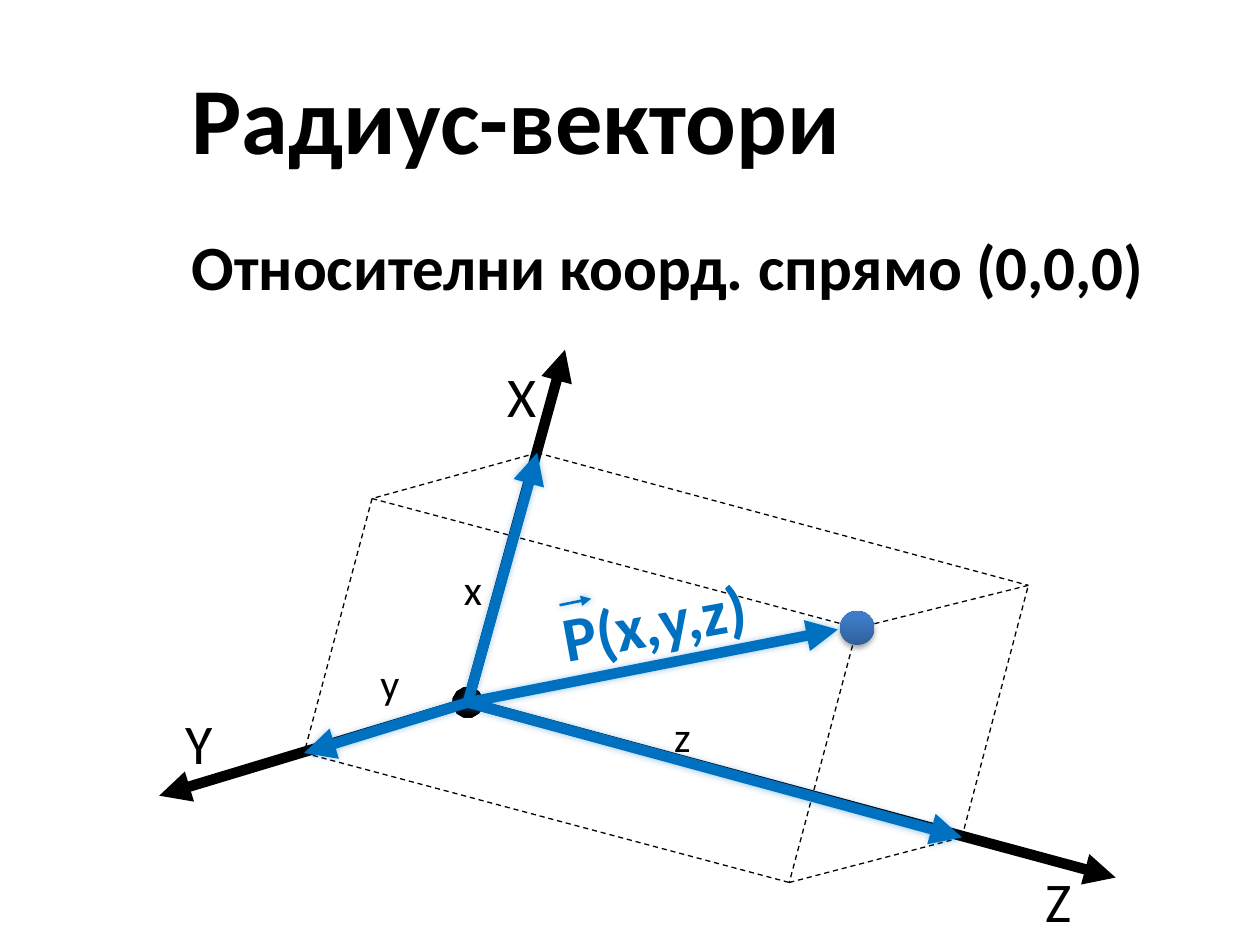
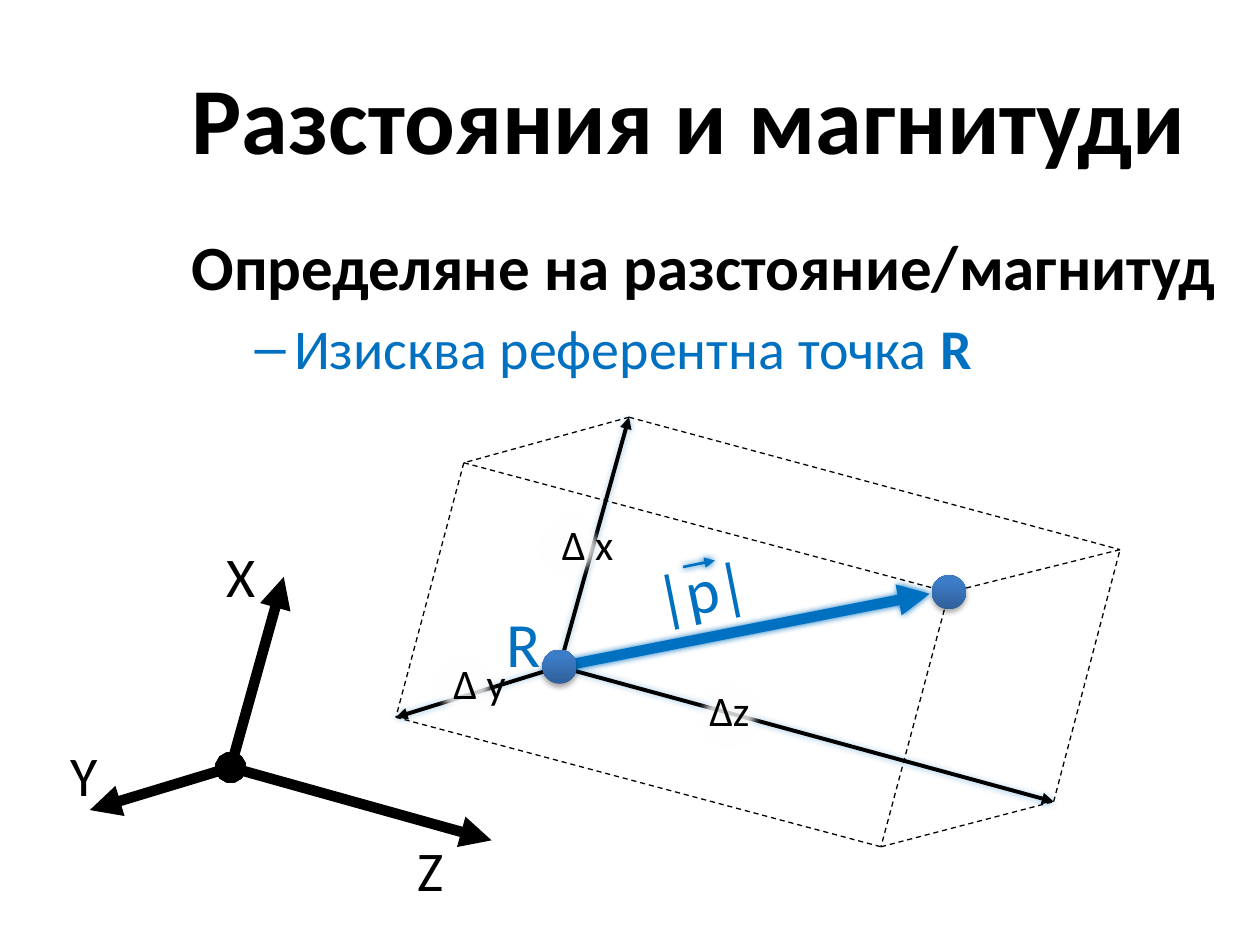
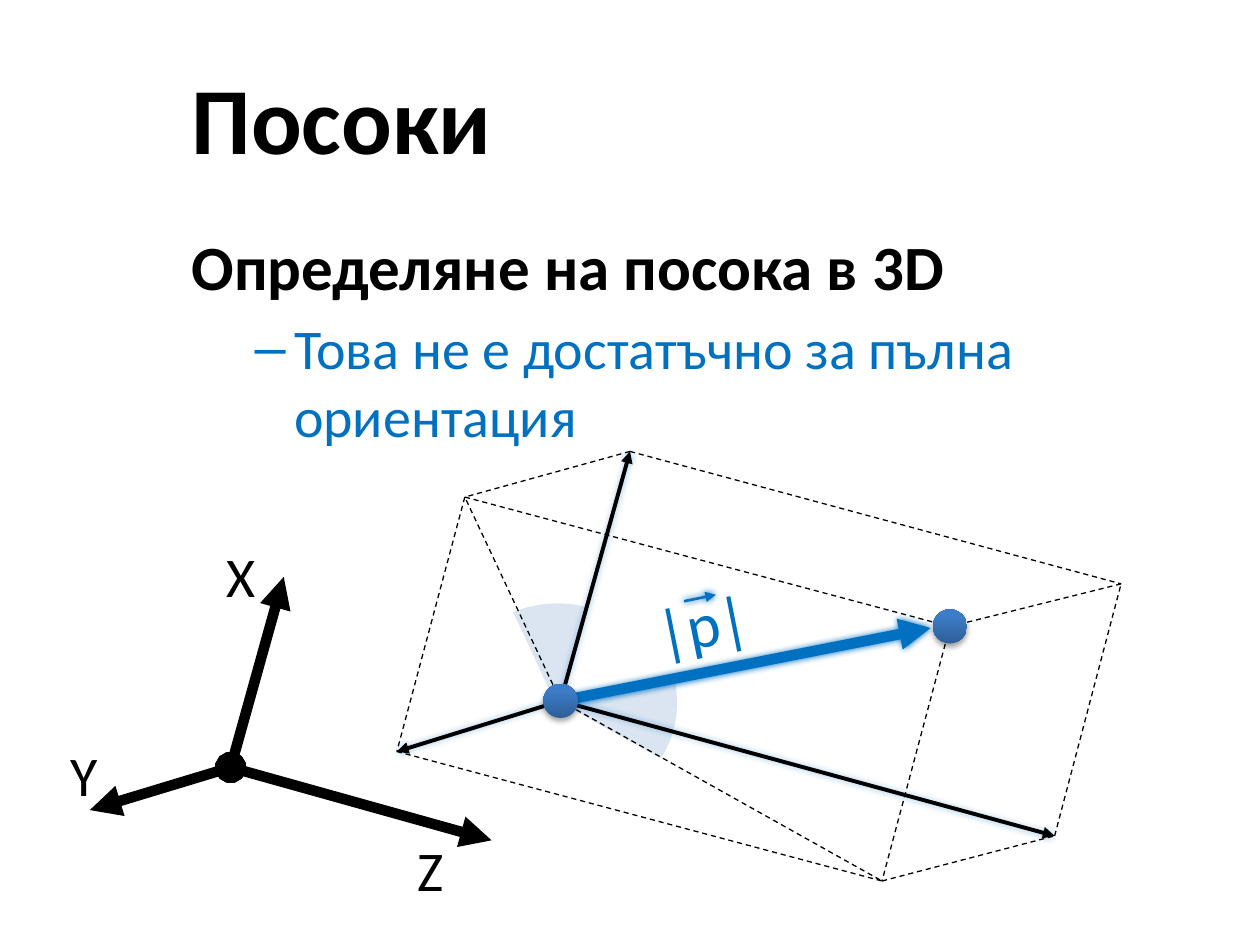
from dataclasses import dataclass
from lxml.etree import SubElement
from pptx import Presentation
from pptx.dml.color import RGBColor
from pptx.enum.dml import MSO_LINE
from pptx.enum.shapes import MSO_CONNECTOR, MSO_SHAPE
from pptx.enum.text import MSO_ANCHOR, MSO_AUTO_SIZE, PP_ALIGN
from pptx.oxml.ns import qn
from pptx.util import Cm, Pt


@dataclass(frozen=True)
class Theme:
    face: str = "Calibri"
    ink: str = "000000"
    blue: str = "0070C0"
    wedge: str = "4F81BD"
    white: str = "FFFFFF"
    deep: str = "2F5F99"
    light: str = "3D7CC7"
    title: int = 54
    head: int = 36
    item: int = 32
    small: int = 24
    thick: float = 6
    mid: float = 2.25
    fine: float = 1.5
    thin: float = 0.75


T = Theme()
NODES = {
    "O": (0, 0), "X": (1.4, -5.03), "Y": (-3.3, 1.02), "Z": (9.96, 2.72),
    "XY": (-1.93, -4.11), "XZ": (11.3, -2.36),
    "YZ": (6.48, 3.63), "XYZ": (7.85, -1.5),
}
EDGES = [
    ("X", "XY"), ("X", "XZ"), ("XY", "XYZ"), ("XZ", "XYZ"), ("XY", "Y"),
    ("Y", "YZ"), ("YZ", "Z"), ("Z", "XZ"), ("XYZ", "YZ"),
]
REACH = (7.46, -1.47)
LARGE = [
    ("X", (1.96, -7.11), (0.25, -6.99)),
    ("Z", (13.06, 3.53), (11.07, 3.18)),
    ("Y", (-6.22, 1.88), (-6.27, 0)),
]
SMALL = [
    ("X", (1.07, -3.84), (-0.64, -4.67)),
    ("Z", (5.26, 1.47), (3.18, 1.24)),
    ("Y", (-2.84, 0.86), (-3.81, -0.66)),
]
CORNER = (4.65, 15.47)


def put(target, **values):
    for key, value in values.items():
        setattr(target, key, value)


def shift(base, step):
    return base[0] + step[0], base[1] + step[1]


def tint(font, size, color, bold=False):
    put(font, name=T.face, size=Pt(size), bold=bold)
    font.color.rgb = RGBColor.from_string(color)


def effect(item, kind=None, color=None, alpha=100, **sizes):
    box = SubElement(item._element.spPr, qn("a:effectLst"))
    if kind:
        node = SubElement(box, qn("a:" + kind), {k: str(v) for k, v in sizes.items()})
        if color:
            paint = SubElement(node, qn("a:srgbClr"), val=color)
            SubElement(paint, qn("a:alpha"), val=str(alpha * 1000))


def line(slide, start, end, color=T.ink, width=T.thin, head=None, tail=None, glow=0):
    item = slide.shapes.add_connector(
        MSO_CONNECTOR.STRAIGHT, *[Cm(v) for v in (*start, *end)])
    item.line.color.rgb = RGBColor.from_string(color)
    item.line.width = Pt(width)
    if not tail:
        item.line.dash_style = MSO_LINE.DASH
    pen = item.line._get_or_add_ln()
    for tag, kind in (("a:headEnd", head), ("a:tailEnd", tail)):
        if kind:
            SubElement(pen, qn(tag), type=kind)
    if glow:
        effect(item, "outerShdw", T.blue, glow, blurRad=Pt(4), dist=0, dir=0)
    else:
        effect(item)


def label(slide, spot, size, text, points, color=T.ink, turn=0, wrap=True,
          bold=False, align=PP_ALIGN.LEFT):
    box = slide.shapes.add_textbox(*[Cm(v) for v in (*spot, *size)])
    box.rotation = turn
    fit = MSO_AUTO_SIZE.NONE if wrap else MSO_AUTO_SIZE.SHAPE_TO_FIT_TEXT
    put(box.text_frame, text=text, word_wrap=wrap, auto_size=fit)
    first = box.text_frame.paragraphs[0]
    first.alignment = align
    tint(first.runs[0].font, points, color, bold)


def patch(slide, kind, spot, size, color, alpha):
    item = slide.shapes.add_shape(kind, *[Cm(v) for v in (*spot, *size)])
    item.fill.solid()
    item.fill.fore_color.rgb = RGBColor.from_string(color)
    paint = item._element.spPr.find(qn("a:solidFill"))[0]
    SubElement(paint, qn("a:alpha"), val=str(alpha * 1000))
    item.line.fill.background()
    return item


def dot(slide, mid):
    size = 0.69
    spot = shift(mid, (-size / 2, -size / 2))
    item = slide.shapes.add_shape(
        MSO_SHAPE.OVAL, *[Cm(v) for v in (*spot, size, size)])
    item.fill.gradient()
    item.fill.gradient_angle = 90
    for stop, place, color in zip(
            item.fill.gradient_stops, (0, 0.8), (T.deep, T.light)):
        stop.position = place
        stop.color.rgb = RGBColor.from_string(color)
    item.line.fill.background()
    effect(item, "outerShdw", T.ink, 35,
           blurRad=Pt(3.1), dist=Pt(1.8), dir=5400000)


def wedge(slide, mid, size, start, end):
    spot = shift(mid, (-size[0] / 2, -size[1] / 2))
    item = patch(slide, MSO_SHAPE.PIE, spot, size, T.wedge, 20)
    for i, angle in enumerate((start, end)):
        item.adjustments[i] = angle * 0.6
    item.shadow.inherit = False


def halo(slide, spot):
    item = patch(slide, MSO_SHAPE.OVAL, spot, (1.47, 1.42), T.white, 80)
    effect(item, "softEdge", rad=Pt(5))


def axes(slide, base, parts):
    for name, tip, spot in parts:
        line(slide, base, shift(base, tip), width=T.thick,
             head="oval", tail="triangle")
        label(slide, shift(base, spot), (1.7, 1.7), name, T.item,
              align=PP_ALIGN.CENTER)


def frame(slide, base, color, width):
    for start, end in EDGES:
        line(slide, shift(base, NODES[start]), shift(base, NODES[end]))
    for name in "XYZ":
        line(slide, base, shift(base, NODES[name]), color, width,
             tail="triangle", glow=40)


def vector(slide, base, text, spot, mark, turn, bold=False, glow=100):
    start = shift(base, mark)
    line(slide, start, shift(start, (0.64, -0.13)), T.blue, T.fine,
         tail="triangle", glow=glow)
    label(slide, shift(base, spot), (5.16, 2.08), text, T.head, T.blue,
          turn=turn, bold=bold)
    dot(slide, shift(base, NODES["XYZ"]))
    line(slide, base, shift(base, REACH), T.blue, T.thick,
         tail="triangle", glow=glow)


def norm(slide, base):
    vector(slide, base, "|p|", (1.7, -2.74), (2.49, -2.01), 348.7)
    dot(slide, base)


def page(deck, title, head, item=()):
    slide = deck.slides.add_slide(deck.slide_layouts[1])
    top, body = slide.placeholders
    put(top, left=Cm(3.61), top=Cm(0.76), width=Cm(21.79), height=Cm(3.18))
    put(body, left=Cm(3.61), top=Cm(4.45), width=Cm(21.79), height=Cm(8.89))
    put(top.text_frame, text=title, vertical_anchor=MSO_ANCHOR.MIDDLE,
        auto_size=MSO_AUTO_SIZE.NONE)
    name = top.text_frame.paragraphs[0]
    name.alignment = PP_ALIGN.LEFT
    tint(name.runs[0].font, T.title, T.ink, True)
    put(body.text_frame, text=head, auto_size=MSO_AUTO_SIZE.NONE)
    lead = body.text_frame.paragraphs[0]
    SubElement(lead._p.get_or_add_pPr(), qn("a:buNone"))
    lead.space_before = Pt(0)
    tint(lead.runs[0].font, T.head, T.ink, True)
    if item:
        para = body.text_frame.add_paragraph()
        para.level = 1
        for text, bold in item:
            run = para.add_run()
            run.text = text
            tint(run.font, T.item, T.blue, bold)
    return slide


def radius(deck):
    slide = page(deck, "Радиус-вектори", "Oтносителни коорд. спрямо (0,0,0)")
    base = (9.43, 14.16)
    axes(slide, base, LARGE)
    frame(slide, base, T.blue, T.thick)
    for text, spot in (("x", (-0.33, -2.92)), ("y", (-2.01, -1.02)),
                       ("z", (3.91, 0.03))):
        label(slide, shift(base, spot), (0.89, 1.27), text, T.small, wrap=False)
    vector(slide, base, "P(x,y,z)", (1.65, -2.62), (1.85, -1.96), 349.6,
           bold=True, glow=40)


def length(deck):
    slide = page(deck, "Разстояния и магнитуди",
                 "Определяне на разстояние/магнитуд",
                 [("Изисква референтна точка ", False), ("R", True)])
    base = (11.28, 13.44)
    frame(slide, base, T.ink, T.mid)
    for text, spot, gap, wide in (("Δ x", (-0.2, -3.12), (-0.28, 0), 1.6),
                                  ("Δz", (2.77, 0.23), (-0.08, 0.05), 1.37),
                                  ("Δ y", (-2.39, -0.3), (-0.28, 0), 1.6)):
        place = shift(base, spot)
        halo(slide, shift(place, gap))
        label(slide, place, (wide, 1.27), text, T.small, wrap=False)
    norm(slide, base)
    label(slide, shift(base, (-1.32, -1.37)), (1.7, 1.7), "R", T.head, T.blue)
    axes(slide, CORNER, SMALL)


def course(deck):
    slide = page(deck, "Посоки", "Oпределяне на посока в 3D",
                 [("Това не е достатъчно за пълна ориентация", False)])
    base = (11.3, 14.13)
    wedge(slide, shift(base, (-0.06, 0.13)), (4.45, 4.19), 245, 285.5)
    wedge(slide, shift(base, (0, 0.04)), (4.7, 4.42), 349, 29)
    frame(slide, base, T.ink, T.mid)
    for name in ("XY", "YZ"):
        line(slide, base, shift(base, NODES[name]))
    norm(slide, base)
    axes(slide, CORNER, SMALL)


def main():
    deck = Presentation()
    put(deck, slide_width=Cm(25.4), slide_height=Cm(19.05))
    for build in (radius, length, course):
        build(deck)
    deck.save("out.pptx")


if __name__ == "__main__":
    main()
